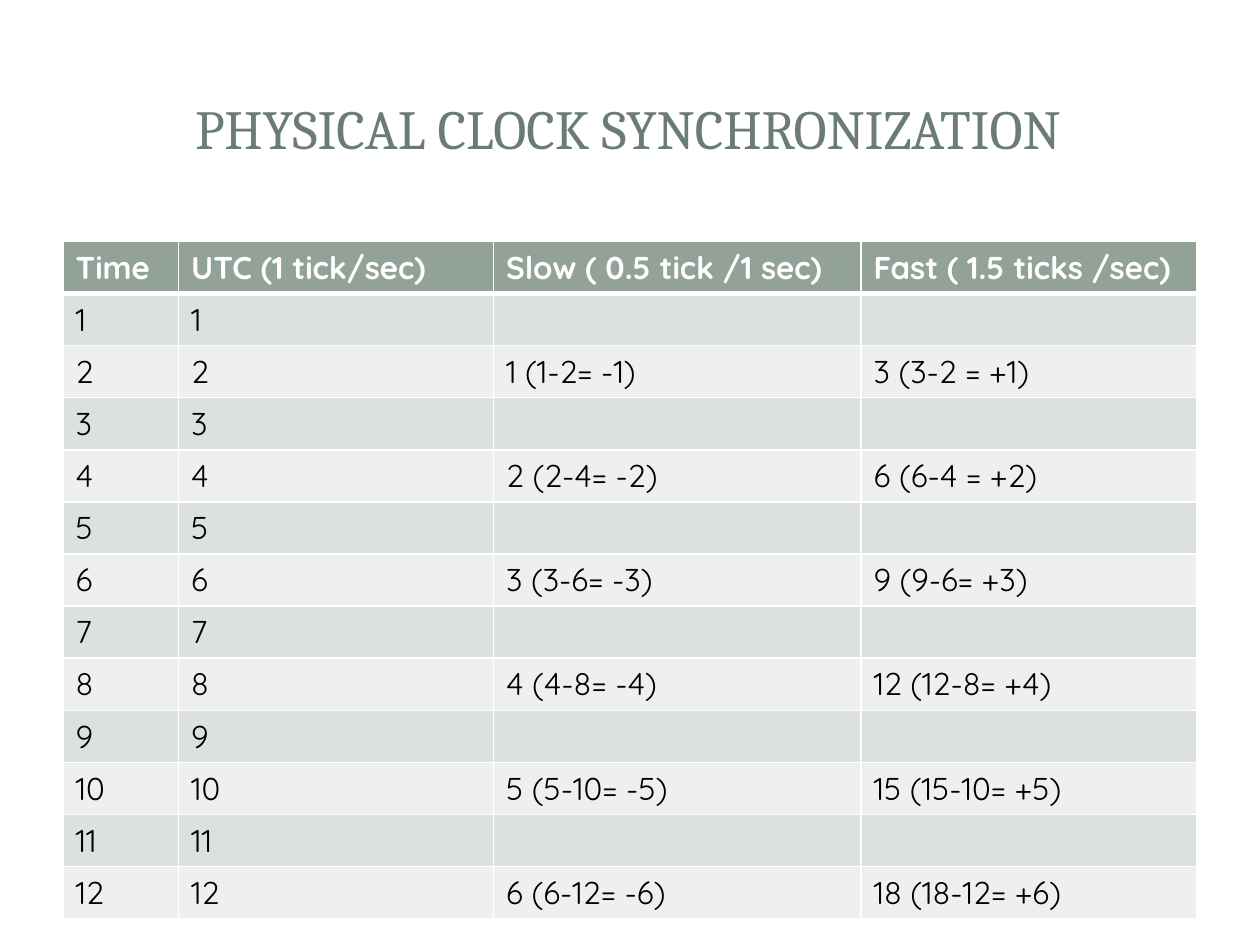
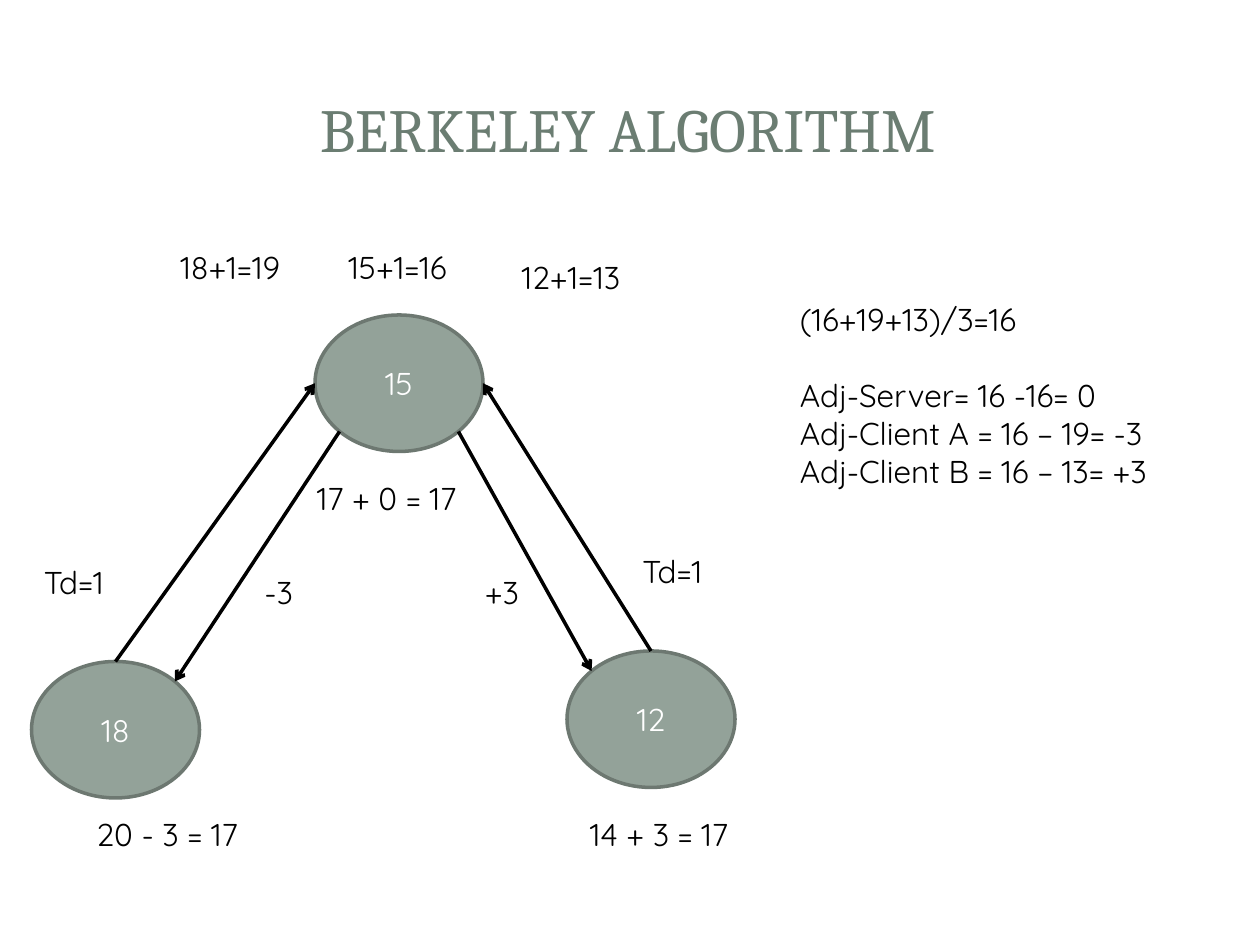
import math

import lxml.etree
import pptx
import pptx.dml.color
import pptx.enum.shapes
import pptx.enum.text
import pptx.oxml.ns
import pptx.util

PX = 7620
TITLE_GREEN = pptx.dml.color.RGBColor(0x6B, 0x7D, 0x72)
SAGE = pptx.dml.color.RGBColor(0x93, 0xA2, 0x99)
OUTLINE = pptx.dml.color.RGBColor(0x6D, 0x78, 0x71)
DARK_BAND = pptx.dml.color.RGBColor(0xDC, 0xE0, 0xDE)
LIGHT_BAND = pptx.dml.color.RGBColor(0xEE, 0xF0, 0xEF)
WHITE = pptx.dml.color.RGBColor(0xFF, 0xFF, 0xFF)
BLACK = pptx.dml.color.RGBColor(0, 0, 0)
TITLE_FONT = "Cambria"
BODY_FONT = "Quicksand"
BODY_SIZE = 18
LABEL_HEIGHT = 48
NODE_WIDTH, NODE_HEIGHT = 160, 130

COLUMN_WIDTHS = (110, 300, 350, 320)
TABLE_HEIGHT = 645
HEADERS = ("Time", "UTC (1 tick/sec)", "Slow ( 0.5 tick /1 sec)", "Fast ( 1.5 ticks /sec)")
DRIFTS = {
    2: ("1 (1-2= -1)", "3 (3-2 = +1)"),
    4: ("2 (2-4= -2)", "6 (6-4 = +2)"),
    6: ("3 (3-6= -3)", "9 (9-6= +3)"),
    8: ("4 (4-8= -4)", "12 (12-8= +4)"),
    10: ("5 (5-10= -5)", "15 (15-10= +5)"),
    12: ("6 (6-12= -6)", "18 (18-12= +6)"),
}

NODES = {"server": ("15", 300, 300), "client_b": ("12", 540, 620), "client_a": ("18", 30, 630)}
TOP, LEFT, RIGHT = 90, 180, 0
TOP_LEFT, TOP_RIGHT, BOTTOM_LEFT, BOTTOM_RIGHT = 135, 45, 225, 315
MESSAGES = (
    ("client_a", TOP, "server", LEFT),
    ("client_b", TOP, "server", RIGHT),
    ("server", BOTTOM_LEFT, "client_a", TOP_RIGHT),
    ("server", BOTTOM_RIGHT, "client_b", TOP_LEFT),
)
LABELS = (
    ("Td=1", 30, 530, 94),
    ("Td=1", 600, 520, 94),
    ("18+1=19", 160, 230, 145),
    ("12+1=13", 485, 240, 145),
    ("15+1=16", 320, 230, 145),
    ("-3", 240, 540, 52),
    ("+3", 450, 540, 59),
    ("20 - 3 = 17", 80, 770, 170),
    ("14 + 3 = 17", 550, 770, 179),
    ("17 + 0 = 17", 290, 450, 179),
)
ADJUSTMENTS = (
    "(16+19+13)/3=16",
    "Adj-Server= 16 -16= 0",
    "Adj-Client A = 16 – 19= -3",
    "Adj-Client B = 16 – 13= +3",
)


def px(*lengths):
    return [round(length * PX) for length in lengths]


def style_text(frame, color, size=BODY_SIZE, font=BODY_FONT, bold=False, align=None):
    for para in frame.paragraphs:
        para.alignment = align
        for span in para.runs:
            span.font.name = font
            span.font.size = pptx.util.Pt(size)
            span.font.bold = bold
            span.font.color.rgb = color


def add_filled_shape(slide, preset, bounds, fill):
    shape = slide.shapes.add_shape(preset, *px(*bounds))
    shape.shadow.inherit = False
    shape.fill.solid()
    shape.fill.fore_color.rgb = fill
    shape.line.fill.background()
    return shape


def add_panels(slide):
    presets = pptx.enum.shapes.MSO_SHAPE
    sheet = add_filled_shape(slide, presets.ROUNDED_RECTANGLE, (12, 13, 1176, 875), WHITE)
    sheet.adjustments[0] = 0.02
    band = add_filled_shape(slide, presets.RECTANGLE, (36, 36, 1128, 174), WHITE)
    color = band._element.spPr.find(".//" + pptx.oxml.ns.qn("a:srgbClr"))
    lxml.etree.SubElement(color, pptx.oxml.ns.qn("a:alpha"), val="83000")
    add_filled_shape(slide, presets.RECTANGLE, (49, 49, 1100, 146), WHITE)


def add_titled_slide(deck, title, size):
    slide = deck.slides.add_slide(deck.slide_layouts[6])
    add_panels(slide)
    frame = slide.shapes.add_textbox(*px(56, 53, 1084, 137)).text_frame
    frame.word_wrap = True
    frame.vertical_anchor = pptx.enum.text.MSO_ANCHOR.MIDDLE
    frame.text = title
    style_text(frame, TITLE_GREEN, size, TITLE_FONT, align=pptx.enum.text.PP_ALIGN.CENTER)
    return slide


def add_label(slide, text, left, top, width, height=LABEL_HEIGHT):
    frame = slide.shapes.add_textbox(*px(left, top, width, height)).text_frame
    frame.word_wrap = False
    frame.auto_size = pptx.enum.text.MSO_AUTO_SIZE.SHAPE_TO_FIT_TEXT
    frame.text = text
    style_text(frame, BLACK)
    return frame


def add_node(slide, text, left, top):
    oval = add_filled_shape(
        slide, pptx.enum.shapes.MSO_SHAPE.OVAL, (left, top, NODE_WIDTH, NODE_HEIGHT), SAGE)
    oval.line.color.rgb = OUTLINE
    oval.line.width = pptx.util.Pt(2)
    oval.text_frame.text = text
    oval.text_frame.vertical_anchor = pptx.enum.text.MSO_ANCHOR.MIDDLE
    style_text(oval.text_frame, WHITE, align=pptx.enum.text.PP_ALIGN.CENTER)


def rim_point(node, degrees):
    _, left, top = NODES[node]
    angle = math.radians(degrees)
    return px(left + NODE_WIDTH / 2 * (1 + math.cos(angle)),
              top + NODE_HEIGHT / 2 * (1 - math.sin(angle)))


def add_arrow(slide, start, end):
    arrow = slide.shapes.add_connector(
        pptx.enum.shapes.MSO_CONNECTOR.STRAIGHT, *start, *end)
    arrow.line.color.rgb = BLACK
    arrow.line.width = pptx.util.Pt(2)
    head = lxml.etree.SubElement(arrow.line._get_or_add_ln(), pptx.oxml.ns.qn("a:tailEnd"))
    head.set("type", "arrow")
    lxml.etree.SubElement(arrow._element.spPr, pptx.oxml.ns.qn("a:effectLst"))


def add_borders(cell, bottom_width):
    properties = cell._tc.get_or_add_tcPr()
    widths = {"lnL": 1, "lnR": 1, "lnT": 1, "lnB": bottom_width}
    for position, (side, width) in enumerate(widths.items()):
        border = lxml.etree.Element(pptx.oxml.ns.qn(f"a:{side}"), w=str(pptx.util.Pt(width)))
        fill = lxml.etree.SubElement(border, pptx.oxml.ns.qn("a:solidFill"))
        lxml.etree.SubElement(fill, pptx.oxml.ns.qn("a:srgbClr"), val=str(WHITE))
        properties.insert(position, border)


def fill_cell(cell, text, is_header, fill):
    cell.text_frame.text = text
    style_text(cell.text_frame, WHITE if is_header else BLACK, bold=is_header)
    cell.fill.solid()
    cell.fill.fore_color.rgb = fill
    add_borders(cell, 3 if is_header else 1)


def add_clock_table(slide):
    rows = [HEADERS]
    rows += [(str(time), str(time), *DRIFTS.get(time, ("", ""))) for time in range(1, 13)]
    table = slide.shapes.add_table(
        len(rows), len(HEADERS),
        *px(60, 230, sum(COLUMN_WIDTHS), TABLE_HEIGHT)).table
    for column, width in zip(table.columns, px(*COLUMN_WIDTHS)):
        column.width = width
    for row_index, texts in enumerate(rows):
        band = DARK_BAND if row_index % 2 else LIGHT_BAND
        for column_index, text in enumerate(texts):
            fill_cell(table.cell(row_index, column_index), text,
                      row_index == 0, band if row_index else SAGE)


def add_berkeley_diagram(slide):
    for node in NODES.values():
        add_node(slide, *node)
    for sender, sender_angle, receiver, receiver_angle in MESSAGES:
        add_arrow(slide, rim_point(sender, sender_angle), rim_point(receiver, receiver_angle))
    for label in LABELS:
        add_label(slide, *label)
    frame = add_label(slide, "\n".join(ADJUSTMENTS), 750, 280, 396, 194)
    frame.paragraphs[1].space_before = pptx.util.Pt(21.7)


def main():
    """Build the clock synchronization slides."""
    deck = pptx.Presentation()
    deck.slide_width, deck.slide_height = px(1200, 900)
    add_clock_table(add_titled_slide(deck, "PHYSICAL CLOCK SYNCHRONIZATION", 31.5))
    add_berkeley_diagram(add_titled_slide(deck, "BERKELEY ALGORITHM", 35))
    deck.save("out.pptx")


if __name__ == "__main__":
    main()
